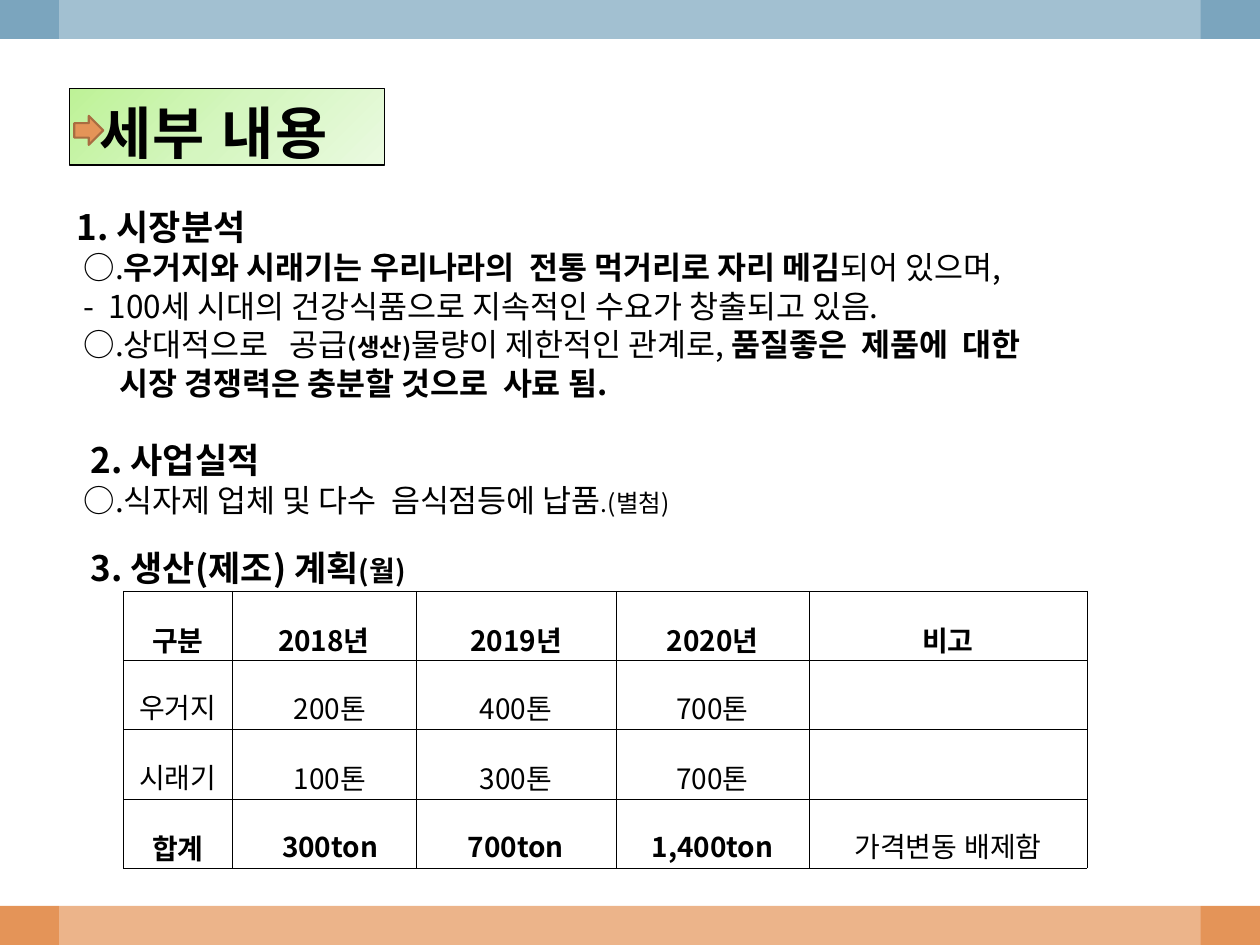
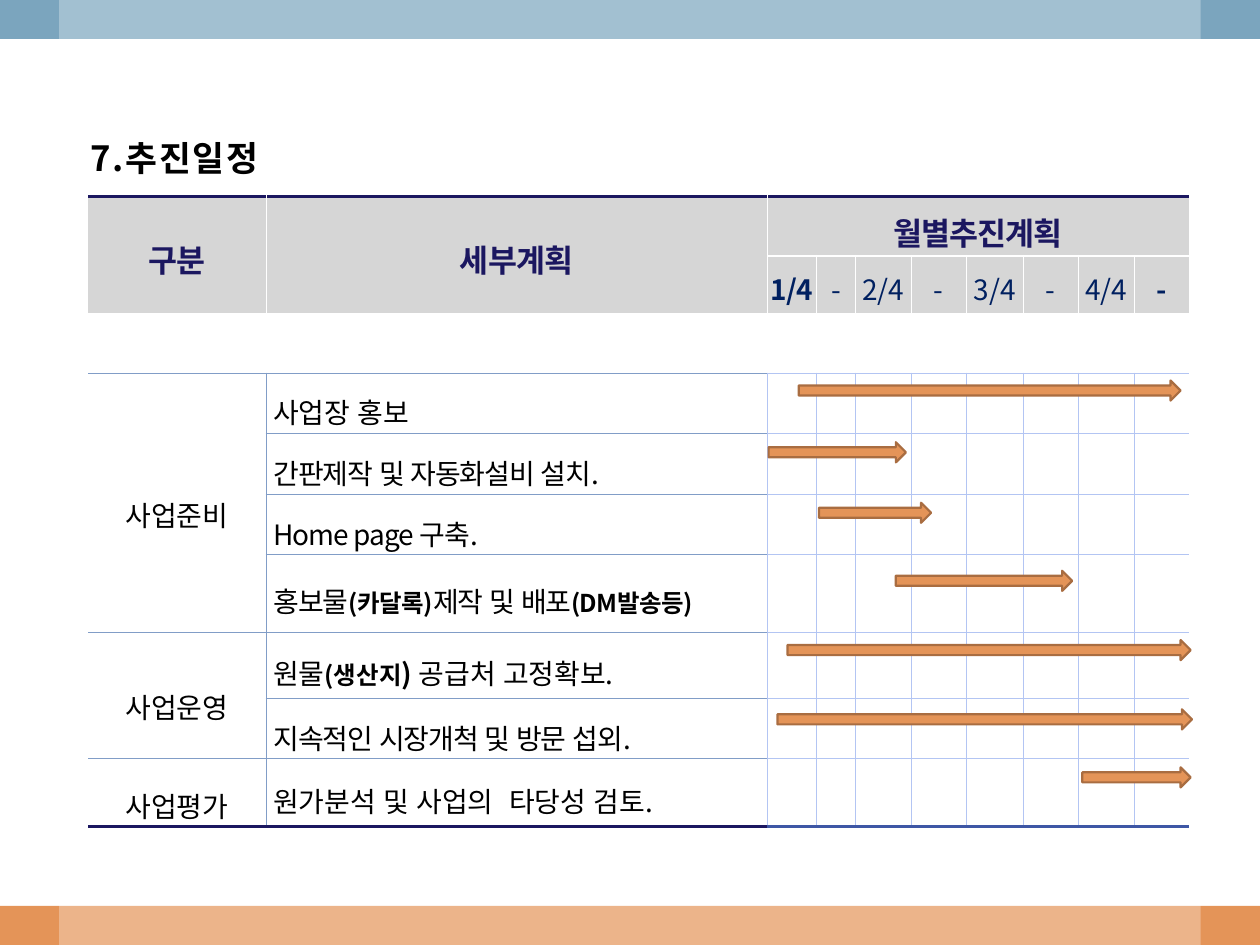
from pptx import Presentation
from pptx.dml.color import RGBColor
from pptx.enum.shapes import MSO_SHAPE
from pptx.enum.text import MSO_ANCHOR, PP_ALIGN
from pptx.oxml import parse_xml
from pptx.oxml.ns import qn
from pptx.util import Inches, Pt
from lxml import etree

# Shared look
WIDTH, HEIGHT, BAND, MARGIN = 10, 7.5, 0.31, 0.47
ORANGE, BROWN = RGBColor(0xE4, 0x94, 0x58), RGBColor(0xA9, 0x6D, 0x41)
SKY, WHITE = RGBColor(0x7B, 0xA5, 0xBE), RGBColor(0xFF, 0xFF, 0xFF)
BLACK, GREY = RGBColor(0, 0, 0), RGBColor(0xD6, 0xD6, 0xD6)
NAVY, DEEP_BLUE = RGBColor(0x1B, 0x17, 0x60), RGBColor(0x00, 0x20, 0x60)
STEEL, PALE = RGBColor(0x81, 0x9D, 0xC7), RGBColor(0xB3, 0xC5, 0xF3)
INDIGO, MINT = RGBColor(0x3E, 0x57, 0xA5), RGBColor(0xBE, 0xF2, 0x97)
SANS, SERIF = "Noto Sans CJK KR", "TeX Gyre Schola"
RECTANGLE, ARROW = MSO_SHAPE.RECTANGLE, MSO_SHAPE.RIGHT_ARROW
MIDDLE, TOP = MSO_ANCHOR.MIDDLE, MSO_ANCHOR.TOP
CENTER, LEFT = PP_ALIGN.CENTER, PP_ALIGN.LEFT
DRAWING = "http://schemas.openxmlformats.org/drawingml/2006/main"


def write(frame, runs, size=16, bold=False, color=BLACK, spacing=0, font=SANS,
          asian=SERIF, align=LEFT, line=1.0, before=0, after=0, anchor=MIDDLE,
          new=False):
    """Write one paragraph; runs is a text or a list of (text, overrides)."""
    frame.word_wrap = True
    frame.vertical_anchor = anchor
    paragraph = frame.add_paragraph() if new else frame.paragraphs[0]
    paragraph.alignment, paragraph.line_spacing = align, line
    paragraph.space_before, paragraph.space_after = Pt(before), Pt(after)
    for text, change in [(runs, {})] if isinstance(runs, str) else runs:
        run = paragraph.add_run()
        run.text = text
        run.font.size = Pt(change.get("size", size))
        run.font.bold = change.get("bold", bold)
        run.font.color.rgb = color
        run.font.name = font
        properties = run.font._element
        properties.set("spc", str(round(spacing * 100)))
        etree.SubElement(properties, qn("a:ea")).set("typeface", asian)


def add_block(slide, kind, left, top, width, height, fill, line=None, weight=1.25):
    shape = slide.shapes.add_shape(
        kind, Inches(left), Inches(top), Inches(width), Inches(height))
    shape.shadow.inherit = False
    shape.fill.solid()
    shape.fill.fore_color.rgb = fill
    if line is None:
        shape.line.fill.background()
    else:
        shape.line.color.rgb = line
        shape.line.width = Pt(weight)
    return shape


presentation = Presentation()
presentation.slide_width, presentation.slide_height = Inches(WIDTH), Inches(HEIGHT)

# Bands on both slides, softened by a translucent centre
slides = []
for _ in range(2):
    slide = presentation.slides.add_slide(presentation.slide_layouts[6])
    add_block(slide, RECTANGLE, 0, HEIGHT - BAND, WIDTH, BAND, ORANGE)
    add_block(slide, RECTANGLE, 0, 0, WIDTH, BAND, SKY)
    veil = add_block(slide, RECTANGLE, MARGIN, 0, WIDTH - 2 * MARGIN, HEIGHT, WHITE)
    color = veil.fill._xPr.find(".//" + qn("a:srgbClr"))
    etree.SubElement(color, qn("a:alpha")).set("val", "30000")
    slides.append(slide)
details_slide, schedule_slide = slides

# Details: title box with a gradient from its top left corner
title = add_block(details_slide, RECTANGLE, 0.55, 0.7, 2.5, 0.61, MINT, BLACK, 0.75)
stops = "".join(f'<a:gs pos="{place}"><a:srgbClr val="{tint}"/></a:gs>' for place, tint in
                [(0, "BEF297"), (50000, "D5F6C0"), (100000, "EAFAE0")])
gradient = parse_xml(
    f'<a:gradFill xmlns:a="{DRAWING}" rotWithShape="1"><a:gsLst>{stops}</a:gsLst>'
    '<a:path path="circle"><a:fillToRect r="100000" b="100000"/></a:path></a:gradFill>')
solid = title._element.spPr.find(qn("a:solidFill"))
solid.getparent().replace(solid, gradient)
write(title.text_frame, [(" ", {"size": 39.6}), ("세부 내용", {})], size=32.4,
      bold=True, spacing=1, asian=SANS)
add_block(details_slide, ARROW, 0.59, 0.92, 0.23, 0.23, ORANGE, BROWN)

# Details: numbered sections
STRONG, PLAIN = {"bold": True}, {}
HEADING = {"size": 20, "bold": True}
sections = [
    ([("1. 시장분석", HEADING)], 24, 0),
    ([(" ○.", PLAIN), ("우거지와 시래기는 우리나라의  전통 먹거리로 자리 메김", STRONG),
      ("되어 있으며,", PLAIN)], 22, 0),
    ([(" -  100세 시대의 건강식품으로 지속적인 수요가 창출되고 있음.", PLAIN)], 22, 0),
    ([(" ○.상대적으로   공급", PLAIN), ("(생산)", {"size": 14, "bold": True}),
      ("물량이 제한적인 관계로, ", PLAIN), ("품질좋은  제품에  대한", STRONG)], 22, 0),
    ([("      시장 경쟁력은 충분할 것으로  사료 됨.", STRONG)], 22, 0),
    ([("\u00a0 ", PLAIN), ("2. 사업실적", HEADING)], 24, 21),
    ([(" ○.식자제 업체 및 다수  음식점등에 납품", PLAIN), (".(별첨)", {"size": 14})], 22, 0),
    ([("\u00a0 ", PLAIN), ("3. 생산(제조) 계획", HEADING),
      ("(월)", {"size": 16, "bold": True})], 24, 16),
]
body = details_slide.shapes.add_textbox(
    Inches(0.51), Inches(1.63), Inches(8.86), Inches(3.05)).text_frame
body.margin_top = body.margin_bottom = 0
for index, (runs, pitch, before) in enumerate(sections):
    write(body, runs, size=18, asian=SANS, line=Pt(pitch), before=before,
          anchor=TOP, new=index > 0)

# Both tables
PLAN_COLUMNS, PLAN_ROWS = [0.86, 1.46, 1.59, 1.53, 2.21], [0.55] * 4
TABLE_TOP = 1.56
SCHEDULE_COLUMNS = [1.41, 3.98, 0.39, 0.31, 0.44, 0.44, 0.45, 0.44, 0.44, 0.44]
SCHEDULE_ROWS = [0.47, 0.46, 0.47, 0.48, 0.48, 0.48, 0.62, 0.52, 0.48, 0.54]
tables = []
for slide, left, top, columns, rows, side in [
        (details_slide, 0.98, 4.69, PLAN_COLUMNS, PLAN_ROWS, 0.07),
        (schedule_slide, 0.7, TABLE_TOP, SCHEDULE_COLUMNS, SCHEDULE_ROWS, 0.02)]:
    table = slide.shapes.add_table(
        len(rows), len(columns), Inches(left), Inches(top),
        Inches(sum(columns)), Inches(sum(rows))).table
    table.first_row = table.horz_banding = False
    for column, width in zip(table.columns, columns):
        column.width = Inches(width)
    for row, height in zip(table.rows, rows):
        row.height = Inches(height)
    for cell in table.iter_cells():
        cell.fill.background()
        cell.vertical_anchor = MIDDLE
        cell.margin_left = cell.margin_right = Inches(side)
        cell.margin_top = cell.margin_bottom = Inches(0.02)
    tables.append(table)
plan, schedule = tables

# Details: production plan
plan_rows = [
    ["구분", "2018년", "2019년", "2020년", "비고"],
    ["우거지", "  200톤", "400톤", "700톤", ""],
    ["시래기", "  100톤", "300톤", "700톤", ""],
    ["합계", "  300ton", "700ton", "1,400ton", "가격변동 배제함"],
]
for row, texts in enumerate(plan_rows):
    for column, text in enumerate(texts):
        if text:
            bold = row == 0 or (row == 3 and column < 4)
            write(plan.cell(row, column).text_frame, text, bold=bold,
                  align=CENTER, line=1.6)

# Schedule: title
heading = schedule_slide.shapes.add_textbox(
    Inches(0.62), Inches(0.86), Inches(8.8), Inches(0.78))
write(heading.text_frame, "7.추진일정", size=19.8, bold=True, spacing=1, asian=SANS)

# Schedule: merged cells as first row, first column, last row, last column
for top, left, bottom, right in [(0, 0, 1, 0), (0, 1, 1, 1), (0, 2, 0, 9), (2, 2, 2, 5),
                                 (2, 6, 2, 9), (3, 0, 6, 0), (7, 0, 8, 0)]:
    schedule.cell(top, left).merge(schedule.cell(bottom, right))

# Schedule: header
for row in range(2):
    for column in range(len(SCHEDULE_COLUMNS)):
        cell = schedule.cell(row, column)
        cell.fill.solid()
        cell.fill.fore_color.rgb = GREY
for column, text in enumerate(["구분", "세부계획", "월별추진계획"]):
    write(schedule.cell(0, column).text_frame, text, size=18, bold=True, color=NAVY,
          spacing=-0.5, align=CENTER, line=1.2)
for column, text in enumerate(["1/4", "-", "2/4", "-", "3/4", "-", "4/4", "-"], start=2):
    edge = column in (2, 9)
    write(schedule.cell(1, column).text_frame, text, bold=edge, color=DEEP_BLUE,
          spacing=-0.5 if edge else 0, align=CENTER, line=1.2)

# Schedule: phases and tasks
for row, phase in [(3, "사업준비"), (7, "사업운영"), (9, "사업평가")]:
    write(schedule.cell(row, 0).text_frame, phase, align=CENTER, line=1.6)
NOTE = {"size": 14, "bold": True}
tasks = [
    ("사업장 홍보", 0),
    ("간판제작 및 자동화설비 설치.", -0.5),
    ("Home page 구축.", -0.5),
    ([("홍보물", PLAIN), ("(카달록)", NOTE), ("제작 및 배포", PLAIN),
      ("(DM발송등)", NOTE)], -0.5),
    ([("원물", PLAIN), ("(생산지", NOTE), (") ", STRONG), ("공급처 고정확보.", PLAIN)], 0),
    ("지속적인 시장개척 및 방문 섭외.", -0.5),
    ("원가분석 및 사업의  타당성 검토.", 0),
]
for row, (runs, spacing) in enumerate(tasks, start=3):
    cell = schedule.cell(row, 1)
    cell.margin_left = Inches(0.06)
    write(cell.text_frame, runs, spacing=spacing, line=1.4, before=1, after=2)

# Cell borders: colour and width by the edge's place in its table
for table in tables:
    last_row, last_column = len(table.rows), len(table.columns)
    for row in range(last_row):
        for column in range(last_column):
            cell = table.cell(row, column)
            if cell.is_spanned:
                continue
            height = cell.span_height if cell.is_merge_origin else 1
            width = cell.span_width if cell.is_merge_origin else 1
            borders = []
            for tag, vertical, edge in [("a:lnL", True, column),
                                        ("a:lnR", True, column + width),
                                        ("a:lnT", False, row),
                                        ("a:lnB", False, row + height)]:
                if table is plan:
                    style = (BLACK, 0.28)
                elif vertical:
                    if edge in (0, last_column) or row == 2:
                        style = None
                    elif row < 2:
                        style = (WHITE, 0.28)
                    else:
                        style = (STEEL, 0.28) if edge == 1 else (PALE, 0.25)
                elif edge == 0:
                    style = (NAVY, 1.7)
                elif edge < 3:
                    style = (WHITE, 1.41)
                elif edge == last_row:
                    style = (NAVY if column < 2 else INDIGO, 1.7)
                else:
                    style = (STEEL, 0.28) if column < 2 else (PALE, 0.25)
                border = etree.Element(qn(tag))
                if style is None:
                    etree.SubElement(border, qn("a:noFill"))
                else:
                    border.set("w", str(int(Pt(style[1]))))
                    paint = etree.SubElement(border, qn("a:solidFill"))
                    etree.SubElement(paint, qn("a:srgbClr")).set("val", str(style[0]))
                borders.append(border)
            properties = cell._tc.get_or_add_tcPr()
            for index, border in enumerate(borders):
                properties.insert(index, border)

# Schedule: one bar per task as left, width and drop below the row's top edge
bars = [(6.34, 3.03, 0.06), (6.1, 1.09, 0.07), (6.5, 0.89, 0.07), (7.11, 1.4, 0.13),
        (6.25, 3.2, 0.06), (6.17, 3.29, 0.09), (8.59, 0.86, 0.07)]
for row, (left, width, drop) in enumerate(bars, start=3):
    top = TABLE_TOP + sum(SCHEDULE_ROWS[:row]) + drop
    add_block(schedule_slide, ARROW, left, top, width, 0.16, ORANGE, BROWN)

presentation.save("out.pptx")
